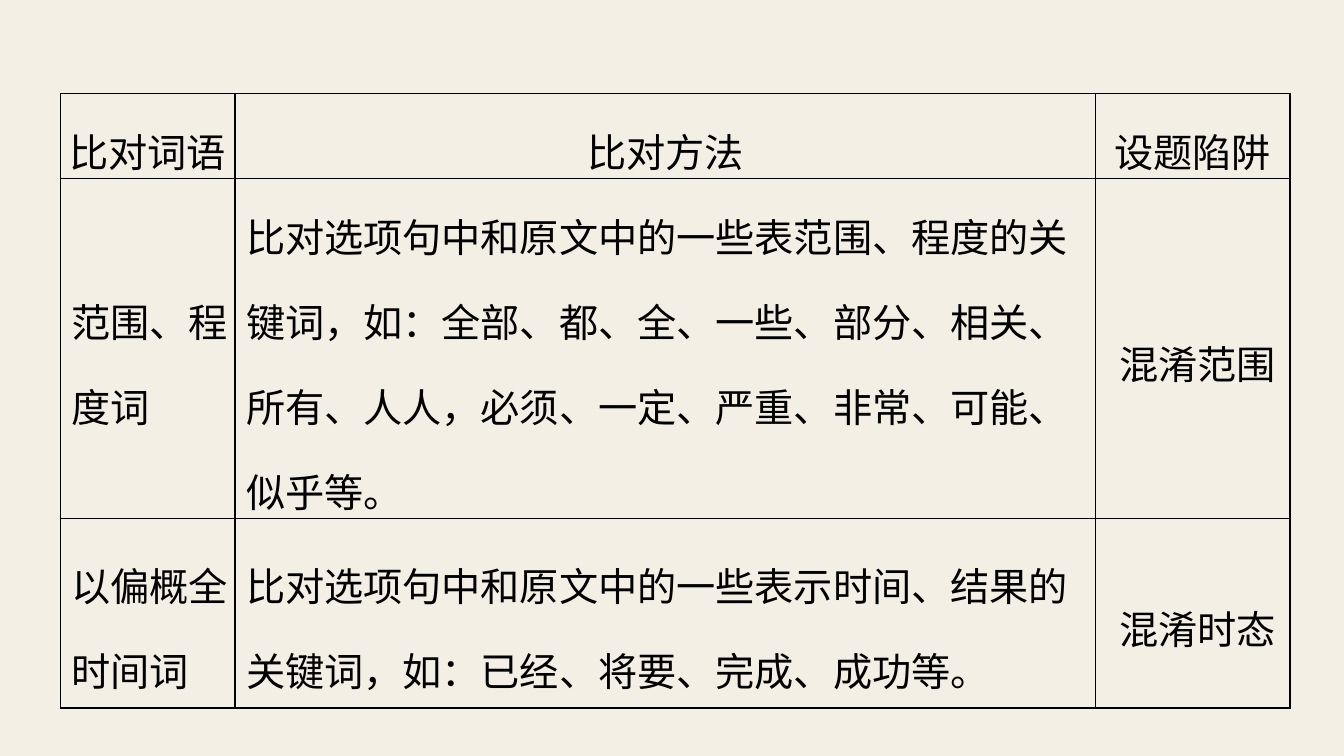
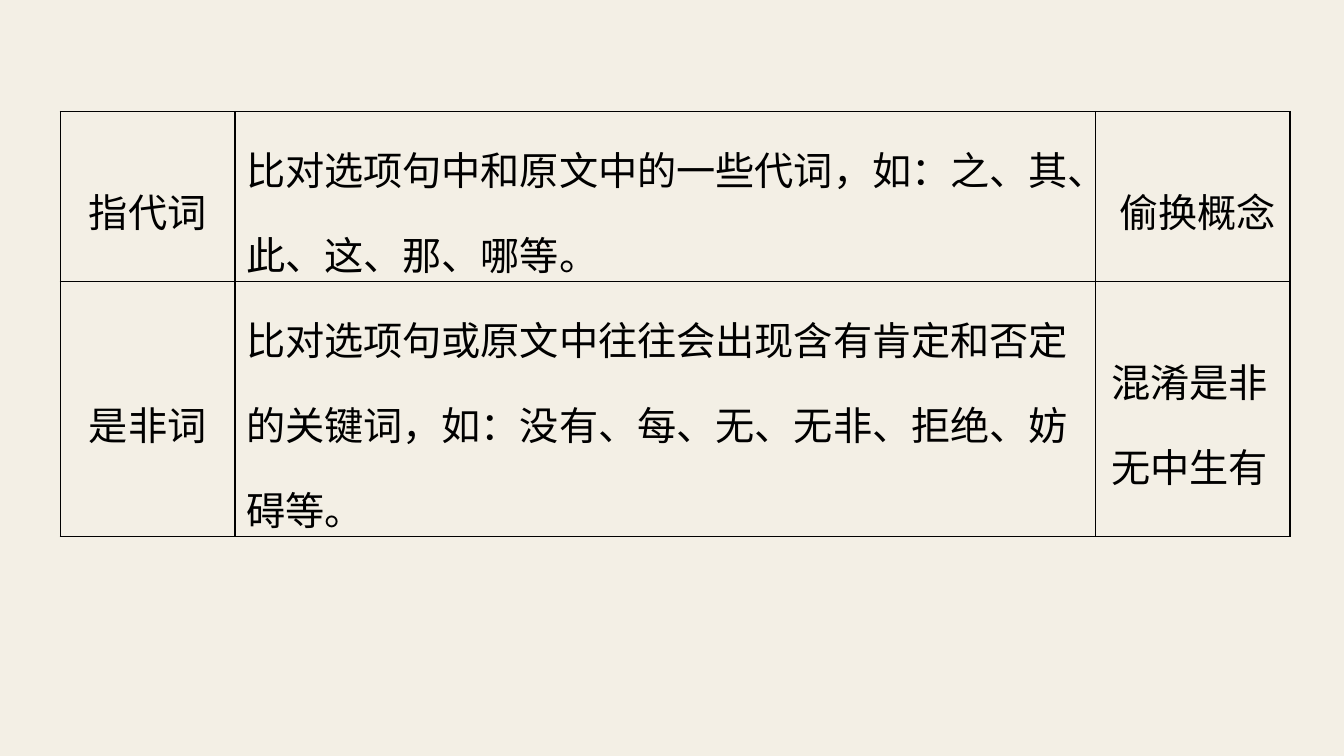
from lxml import etree
from pptx import Presentation
from pptx.dml.color import RGBColor
from pptx.enum.text import MSO_ANCHOR, PP_ALIGN
from pptx.oxml.ns import qn
from pptx.util import Cm, Pt

CENTER, LEFT = PP_ALIGN.CENTER, PP_ALIGN.LEFT
MIDDLE = MSO_ANCHOR.MIDDLE

COLORS = {"paper": "F3EFE5", "ink": "000000"}
FONT = {"name": "Times New Roman", "size": Pt(28)}
CELL = {
    "vertical_anchor": MIDDLE,
    "margin_left": Cm(0.05),
    "margin_right": Cm(0.05),
    "margin_top": 0,
    "margin_bottom": 0,
}
TABLE_LEFT = 1.52
COLUMN_WIDTHS = [4.4, 21.69, 4.9]
INDENT = {"indent": Cm(0.23)}
STYLES = {
    "label": (CENTER, {}),
    "body": (LEFT, INDENT),
    "trap": (CENTER, INDENT),
    "trap_left": (CENTER, {**INDENT, "marR": Cm(0.4)}),
}

SLIDES = [
    {
        "top": 2.36,
        "row_heights": [1.83, 7.47, 4.78],
        "rows": [
            [
                [("label", "比对词语")],
                [("label", "比对方法")],
                [("label", "设题陷阱")],
            ],
            [
                [("body", "范围、程"), ("body", "度词")],
                [
                    ("body", "比对选项句中和原文中的一些表范围、程度的关"),
                    ("body", "键词，如：全部、都、全、一些、部分、相关、"),
                    ("body", "所有、人人，必须、一定、严重、非常、可能、"),
                    ("body", "似乎等。"),
                ],
                [("trap", "混淆范围")],
            ],
            [
                [("body", "以偏概全"), ("body", "时间词")],
                [
                    ("body", "比对选项句中和原文中的一些表示时间、结果的"),
                    ("body", "关键词，如：已经、将要、完成、成功等。"),
                ],
                [("trap", "混淆时态")],
            ],
        ],
    },
    {
        "top": 2.81,
        "row_heights": [4.29, 5.79],
        "rows": [
            [
                [("label", "指代词")],
                [
                    ("body", "比对选项句中和原文中的一些代词，如：之、其、"),
                    ("body", "此、这、那、哪等。"),
                ],
                [("trap", "偷换概念")],
            ],
            [
                [("label", "是非词")],
                [
                    ("body", "比对选项句或原文中往往会出现含有肯定和否定"),
                    ("body", "的关键词，如：没有、每、无、无非、拒绝、妨"),
                    ("body", "碍等。"),
                ],
                [("trap_left", "混淆是非"), ("trap", "无中生有")],
            ],
        ],
    },
]


def set_attributes(target, values):
    for key, value in values.items():
        setattr(target, key, value)


def add_borders(cell):
    properties = cell._tc.get_or_add_tcPr()
    for position, side in enumerate(("a:lnL", "a:lnR", "a:lnT", "a:lnB")):
        border = etree.Element(qn(side), w=str(Pt(1)))
        fill = etree.SubElement(border, qn("a:solidFill"))
        etree.SubElement(fill, qn("a:srgbClr"), val=COLORS["ink"])
        properties.insert(position, border)


def write_paragraph(paragraph, style, text):
    alignment, indents = STYLES[style]
    paragraph.alignment = alignment
    paragraph.line_spacing = 1.5
    for key, value in indents.items():
        paragraph._p.get_or_add_pPr().set(key, str(value))
    run = paragraph.add_run()
    run.text = text
    set_attributes(run.font, FONT)
    run.font.color.rgb = RGBColor.from_string(COLORS["ink"])


def fill_cell(cell, lines):
    set_attributes(cell, CELL)
    cell.fill.background()
    add_borders(cell)
    frame = cell.text_frame
    for index, (style, text) in enumerate(lines):
        paragraph = frame.add_paragraph() if index else frame.paragraphs[0]
        write_paragraph(paragraph, style, text)


def add_comparison_table(slide, content):
    heights, rows = content["row_heights"], content["rows"]
    table = slide.shapes.add_table(
        len(rows), len(COLUMN_WIDTHS), Cm(TABLE_LEFT), Cm(content["top"]),
        Cm(sum(COLUMN_WIDTHS)), Cm(sum(heights)),
    ).table
    set_attributes(table, {"first_row": False, "horz_banding": False})
    for column, width in zip(table.columns, COLUMN_WIDTHS):
        column.width = Cm(width)
    for row, height, row_content in zip(table.rows, heights, rows):
        row.height = Cm(height)
        for cell, lines in zip(row.cells, row_content):
            fill_cell(cell, lines)


def main():
    presentation = Presentation()
    presentation.slide_width, presentation.slide_height = Cm(33.87), Cm(19.05)
    paper = presentation.slide_master.background.fill
    paper.solid()
    paper.fore_color.rgb = RGBColor.from_string(COLORS["paper"])
    blank = presentation.slide_layouts[6]
    for content in SLIDES:
        add_comparison_table(presentation.slides.add_slide(blank), content)
    presentation.save("out.pptx")


if __name__ == "__main__":
    main()
